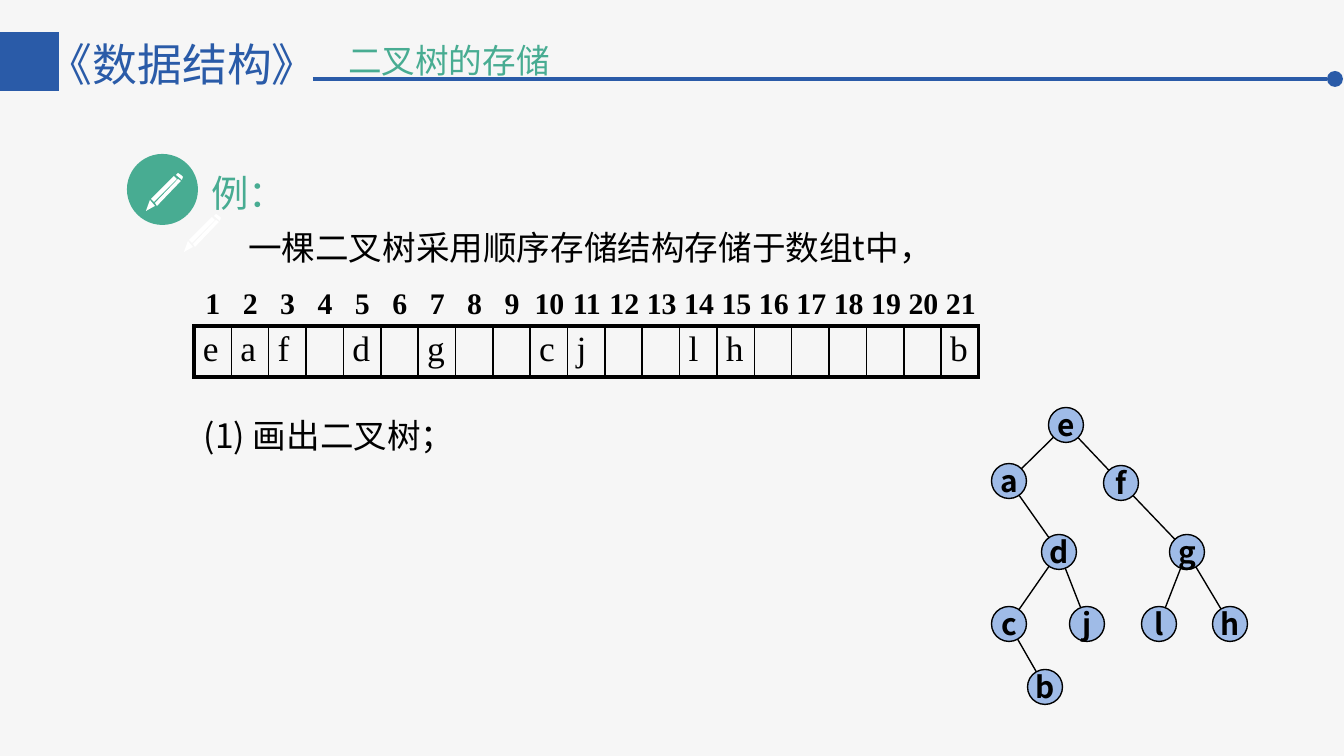
import math

import lxml.etree
import pptx
import pptx.dml.color
import pptx.enum.shapes
import pptx.enum.text
import pptx.oxml.ns
import pptx.util

COURSE = "《数据结构》"
TOPIC = "二叉树的存储"
EXAMPLE = "例："
STATEMENT = "一棵二叉树采用顺序存储结构存储于数组t中，"
TASK = "(1) 画出二叉树；"
STORAGE = ["e", "a", "f", "", "d", "", "g", "", "", "c", "j",
           "", "", "l", "h", "", "", "", "", "", "b"]
NODES = {"e": (1066, 425), "a": (1009, 481), "f": (1121, 483), "d": (1059, 552),
         "c": (1009, 624), "j": (1087, 624), "g": (1187, 552), "l": (1159, 624),
         "h": (1230, 624), "b": (1045, 687)}
EDGES = ["ea", "ef", "ad", "dc", "dj", "fg", "gl", "gh", "cb"]
PENCIL = [
    [(4, 28), (0, 39), (9, 34)],
    [(28, 4), (5, 27), (8, 30), (31, 7)],
    [(32, 7), (9, 31), (11, 34), (35, 9)],
    [(30, 3), (32, 1), (35, 3), (37, 5), (36, 8)],
]
PENCIL_ORIGINS = [(184, 213), (146, 172)]

THEME = {
    "page": "F6F6F6", "blue": "2A5BA8", "green": "48AC92", "node": "9FBBE7",
    "ink": "000000", "white": "FFFFFF",
    "sans": "Noto Sans CJK JP", "serif": "Times New Roman",
    "course": 24, "example": 20, "body": 18, "cell": 19, "small": 16,
    "thin": 0.75, "rule": 1.75, "grid": 1, "frame": 2.25,
}
SCALE = 914400 / 134.4
NODE_SIZE = 35
TABLE_LEFT, TABLE_TOP, TABLE_HEIGHT, COLUMN = 194, 326, 51, 37.4
LABEL_LEFT = 176
WIDE, TIGHT = (13, 7), (9, 5)
ANCHORS = pptx.enum.text.MSO_ANCHOR
ALIGNS = pptx.enum.text.PP_ALIGN
SHAPES = pptx.enum.shapes.MSO_SHAPE


def px(value):
    return pptx.util.Emu(round(value * SCALE))


def color(name):
    return pptx.dml.color.RGBColor.from_string(THEME[name])


def assign(target, values):
    for name, value in values.items():
        setattr(target, name, value)


def child(parent, tag, **attributes):
    return lxml.etree.SubElement(parent, pptx.oxml.ns.qn(tag), attributes)


def write(para, text, size, ink="ink", face="sans", bold=False):
    span = para.add_run()
    span.text = text
    assign(span.font, {"size": pptx.util.Pt(THEME[size]), "name": THEME[face], "bold": bold})
    span.font.color.rgb = color(ink)
    child(span.font._element, "a:ea", typeface=THEME[face])


def fill_box(box, area, text, size, ink="ink", inset=WIDE, spacing=None, right=None):
    assign(box, dict(zip(("left", "top", "width", "height"), map(px, area))))
    side, edge = map(px, inset)
    assign(box.text_frame, {
        "word_wrap": True, "auto_size": pptx.enum.text.MSO_AUTO_SIZE.NONE,
        "vertical_anchor": ANCHORS.TOP, "margin_left": side,
        "margin_right": side if right is None else px(right),
        "margin_top": edge, "margin_bottom": edge})
    para = box.text_frame.paragraphs[0]
    assign(para, {"alignment": ALIGNS.LEFT, "space_before": pptx.util.Pt(0),
                  "line_spacing": spacing})
    write(para, text, size, ink)


def paint(shape, fill, line=None):
    shape.shadow.inherit = False
    shape.fill.solid()
    shape.fill.fore_color.rgb = color(fill)
    if line:
        shape.line.color.rgb = color(line)
        shape.line.width = pptx.util.Pt(THEME["thin"])
    else:
        shape.line.fill.background()


def add_shape(page, kind, area, fill, line=None):
    shape = page.shapes.add_shape(kind, *map(px, area))
    paint(shape, fill, line)
    return shape


def add_line(page, start, end, ink, width):
    line = page.shapes.add_connector(
        pptx.enum.shapes.MSO_CONNECTOR.STRAIGHT, *map(px, (*start, *end)))
    line.line.color.rgb = color(ink)
    line.line.width = pptx.util.Pt(THEME[width])
    child(line._element.spPr, "a:effectLst")


def new_box(page):
    return page.shapes.add_textbox(0, 0, 0, 0)


def add_header(page):
    fill_box(page.shapes.title, (35, 30, 304, 67), COURSE, "course", "blue")
    add_shape(page, SHAPES.RECTANGLE, (0, 32, 59, 59), "blue")
    fill_box(new_box(page), (339, 35, 413, 52), TOPIC, "body", "green", TIGHT)
    add_line(page, (313, 79), (1327, 79), "blue", "rule")
    add_shape(page, SHAPES.OVAL, (1327, 71, 16, 16), "blue")


def add_example(page):
    fill_box(new_box(page), (198, 163, 90, 59), EXAMPLE, "example", "green", right=0)
    statement = page.placeholders[1]
    fill_box(statement, (239, 230, 867, 52), STATEMENT, "body", inset=TIGHT, spacing=0.8)
    layout = statement.text_frame.paragraphs[0]._p.get_or_add_pPr()
    layout.set("marL", "0")
    layout.set("indent", "0")
    child(layout, "a:buNone")
    fill_box(new_box(page), (195, 418, 867, 52), TASK, "body", inset=TIGHT, spacing=0.8)
    add_shape(page, SHAPES.OVAL, (127, 154, 71, 71), "green")
    for left, top in PENCIL_ORIGINS:
        for outline in PENCIL:
            points = [(left + x, top + y) for x, y in outline]
            builder = page.shapes.build_freeform(*points[0], scale=SCALE)
            builder.add_line_segments(points[1:], close=True)
            paint(builder.convert_to_shape(), "white")


def set_border(cell, order, side, width):
    line = lxml.etree.Element(pptx.oxml.ns.qn("a:" + side),
                              w=str(pptx.util.Pt(THEME[width])))
    child(child(line, "a:solidFill"), "a:srgbClr", val=THEME["ink"])
    cell._tc.get_or_add_tcPr().insert(order, line)


def add_storage(page):
    count = len(STORAGE)
    table = page.shapes.add_table(1, count, *map(
        px, (TABLE_LEFT, TABLE_TOP, COLUMN * count, TABLE_HEIGHT))).table
    assign(table, {"first_row": False, "horz_banding": False})
    table.rows[0].height = px(TABLE_HEIGHT)
    for index, letter in enumerate(STORAGE):
        table.columns[index].width = px(COLUMN)
        cell = table.cell(0, index)
        assign(cell, {"margin_left": px(9), "margin_right": px(9),
                      "margin_top": px(4), "margin_bottom": px(4)})
        cell.fill.background()
        borders = {"lnL": "grid" if index else "frame",
                   "lnR": "grid" if index < count - 1 else "frame",
                   "lnT": "frame", "lnB": "frame"}
        for order, (side, width) in enumerate(borders.items()):
            set_border(cell, order, side, width)
        if letter:
            write(cell.text_frame.paragraphs[0], letter, "cell", face="serif")

    labels = page.shapes.add_textbox(*map(px, (LABEL_LEFT, 278, 850, 50)))
    labels.text_frame.word_wrap = True
    para = labels.text_frame.paragraphs[0]
    stops = child(para._p.get_or_add_pPr(), "a:tabLst")
    for index in range(count):
        center = TABLE_LEFT + COLUMN * (index + 0.5) - LABEL_LEFT - WIDE[0]
        child(stops, "a:tab", pos=str(px(center)), algn="ctr")
    numbers = "".join(f"\t{index + 1}" for index in range(count))
    write(para, numbers, "small", face="serif", bold=True)


def add_tree(page):
    radius = NODE_SIZE / 2
    for letter, (x, y) in NODES.items():
        node = add_shape(page, SHAPES.OVAL,
                         (x - radius, y - radius, NODE_SIZE, NODE_SIZE), "node", "ink")
        assign(node.text_frame, {"word_wrap": False, "vertical_anchor": ANCHORS.MIDDLE})
        para = node.text_frame.paragraphs[0]
        para.alignment = ALIGNS.CENTER
        write(para, letter, "small", bold=True)
    for upper, lower in EDGES:
        (x1, y1), (x2, y2) = NODES[upper], NODES[lower]
        share = radius / math.dist((x1, y1), (x2, y2))
        dx, dy = (x2 - x1) * share, (y2 - y1) * share
        add_line(page, (x1 + dx, y1 + dy), (x2 - dx, y2 - dy), "ink", "thin")


def main():
    deck = pptx.Presentation()
    assign(deck, {"slide_width": px(1344), "slide_height": px(756)})
    page = deck.slides.add_slide(deck.slide_layouts[1])
    page.background.fill.solid()
    page.background.fill.fore_color.rgb = color("page")
    add_header(page)
    add_example(page)
    add_storage(page)
    add_tree(page)
    deck.save("out.pptx")


if __name__ == "__main__":
    main()
